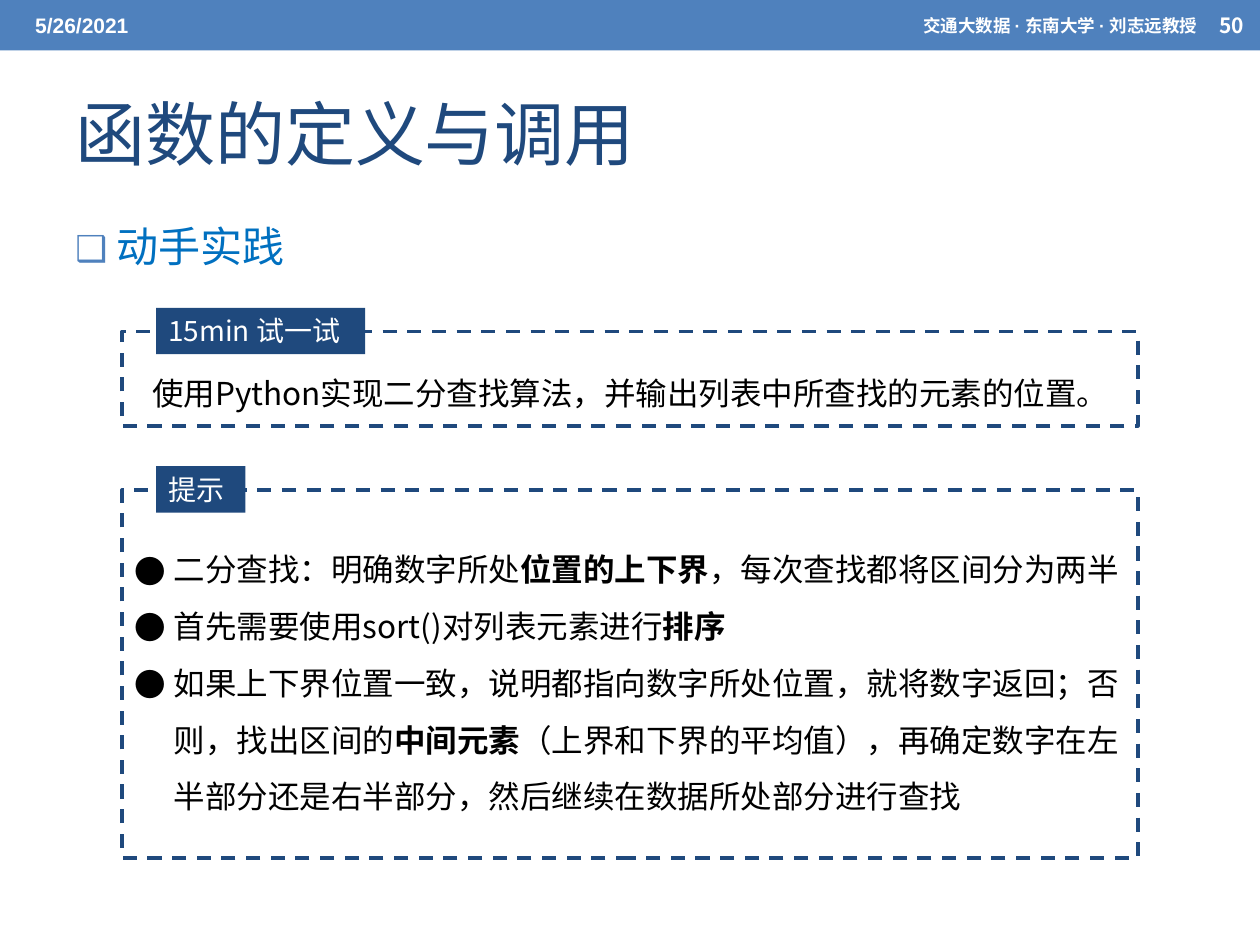
from dataclasses import dataclass, field

from lxml.etree import SubElement
from pptx import Presentation
from pptx.dml.color import RGBColor
from pptx.enum.dml import MSO_LINE
from pptx.enum.shapes import MSO_SHAPE
from pptx.enum.text import MSO_ANCHOR, PP_ALIGN
from pptx.oxml.ns import qn
from pptx.util import Pt


@dataclass(frozen=True)
class Theme:
    bar: str = "4F81BD"
    navy: str = "1F497D"
    blue: str = "0070C0"
    white: str = "FFFFFF"
    black: str = "000000"
    sans: str = "Noto Sans CJK SC"
    arial: str = "Arial"
    title: int = 40
    head: int = 24
    body: int = 18
    tag: int = 16
    date: int = 12
    small: int = 10


T = Theme()


@dataclass(frozen=True)
class Box:
    x: float
    y: float
    w: float
    h: float

    def pts(self) -> list:
        return [Pt(v) for v in (self.x, self.y, self.w, self.h)]


@dataclass(frozen=True)
class Bullet:
    char: str
    color: str
    scale: int = 100


@dataclass(frozen=True)
class Style:
    size: int
    color: str
    face: str = T.sans
    bold: bool = False
    left: float = 0
    hang: float = 0
    bullet: Bullet | None = None
    para: dict = field(default_factory=dict)
    anchor: MSO_ANCHOR = MSO_ANCHOR.TOP


@dataclass(frozen=True)
class Panel:
    frame: Box
    tag: Box
    label: str
    text: Box
    lines: list
    style: Style


def assign(obj, vals: dict) -> None:
    for key, val in vals.items():
        setattr(obj, key, val)


def indent(par, style: Style) -> None:
    """Set the hanging indent and the bullet of a paragraph."""
    props = par._p.get_or_add_pPr()
    props.set("marL", str(Pt(style.left)))
    props.set("indent", str(-Pt(style.hang)))
    if style.bullet:
        tint = SubElement(props, qn("a:buClr"))
        SubElement(tint, qn("a:srgbClr")).set("val", style.bullet.color)
        SubElement(props, qn("a:buSzPct")).set("val", str(style.bullet.scale * 1000))
        SubElement(props, qn("a:buFont")).set("typeface", T.sans)
        SubElement(props, qn("a:buChar")).set("char", style.bullet.char)


def write(shape, lines: list, style: Style) -> None:
    """Fill a shape with lines; every second part of a line is bold."""
    frame = shape.text_frame
    assign(frame, {"word_wrap": True, "vertical_anchor": style.anchor})
    for row, parts in enumerate(lines):
        par = frame.add_paragraph() if row else frame.paragraphs[0]
        assign(par, {"alignment": PP_ALIGN.LEFT} | style.para)
        indent(par, style)
        for num, part in enumerate(parts):
            run = par.add_run()
            run.text = part
            bold = style.bold or num % 2 == 1
            assign(run.font, {"size": Pt(style.size), "name": style.face, "bold": bold})
            run.font.color.rgb = RGBColor.from_string(style.color)
            SubElement(run.font._element, qn("a:ea")).set("typeface", T.sans)


def label(slide, box: Box, lines: list, style: Style) -> None:
    write(slide.shapes.add_textbox(*box.pts()), lines, style)


def block(slide, box: Box, fill: str):
    shape = slide.shapes.add_shape(MSO_SHAPE.RECTANGLE, *box.pts())
    shape.shadow.inherit = False
    shape.fill.solid()
    shape.fill.fore_color.rgb = RGBColor.from_string(fill)
    shape.line.fill.background()
    return shape


def outline(slide, box: Box) -> None:
    shape = slide.shapes.add_shape(MSO_SHAPE.RECTANGLE, *box.pts())
    shape.shadow.inherit = False
    shape.fill.background()
    shape.line.color.rgb = RGBColor.from_string(T.navy)
    assign(shape.line, {"width": Pt(2), "dash_style": MSO_LINE.DASH})


def draw(slide, panel: Panel) -> None:
    outline(slide, panel.frame)
    label(slide, panel.text, panel.lines, panel.style)
    write(block(slide, panel.tag, T.navy), [[panel.label]], Style(T.tag, T.white))


MID = MSO_ANCHOR.MIDDLE
PLAIN = Style(T.body, T.black)
LIST = Style(T.body, T.black, left=22.5, hang=22.5,
             bullet=Bullet("●", T.black), para={"line_spacing": 1.5})
TITLE = Style(T.title, T.navy, left=72, hang=72, anchor=MID)
HEAD = Style(T.head, T.blue, left=14.4, hang=14.4, bullet=Bullet("❑", T.bar, 85),
             para={"line_spacing": 1.5, "space_before": Pt(4.8)})
DATE = Style(T.date, T.white, T.arial, True, anchor=MID)
PAGE = Style(T.date, T.white, bold=True, anchor=MID)
NOTE = Style(T.small, T.white, T.arial, True,
             para={"alignment": PP_ALIGN.RIGHT}, anchor=MID)

PANELS = [
    Panel(Box(69.8, 189.4, 580.4, 54), Box(89.2, 175.9, 119.5, 26.6), "15min 试一试",
          Box(79.9, 210.3, 553, 29),
          [["使用Python实现二分查找算法，并输出列表中所查找的元素的位置。"]], PLAIN),
    Panel(Box(69.8, 280, 580.4, 210.2), Box(89.2, 266.4, 51, 26.6), "提示",
          Box(69.8, 300.2, 580.4, 167),
          [["二分查找：明确数字所处", "位置的上下界", "，每次查找都将区间分为两半"],
           ["首先需要使用sort()对列表元素进行", "排序"],
           ["如果上下界位置一致，说明都指向数字所处位置，就将数字返回；否则，找出区间的",
            "中间元素",
            "（上界和下界的平均值），再确定数字在左半部分还是右半部分，"
            "然后继续在数据所处部分进行查找"]], LIST),
]


def main() -> None:
    deck = Presentation()
    assign(deck, {"slide_width": Pt(720), "slide_height": Pt(540)})
    slide = deck.slides.add_slide(deck.slide_layouts[6])

    # Top bar
    block(slide, Box(0, 0, 720, 28.8), T.bar)
    label(slide, Box(13, 1.4, 228, 26), [["5/26/2021"]], DATE)
    label(slide, Box(311, 1.4, 380, 26), [["交通大数据 · 东南大学 · 刘志远教授"]], NOTE)
    label(slide, Box(689.8, 1.4, 30.2, 26), [["50"]], PAGE)

    # Headings
    label(slide, Box(36, 36.7, 648, 77.8), [["函数的定义与调用"]], TITLE)
    label(slide, Box(36, 108, 653.8, 54), [[" 动手实践"]], HEAD)

    # Task and hints
    for panel in PANELS:
        draw(slide, panel)

    deck.save("out.pptx")


if __name__ == "__main__":
    main()
